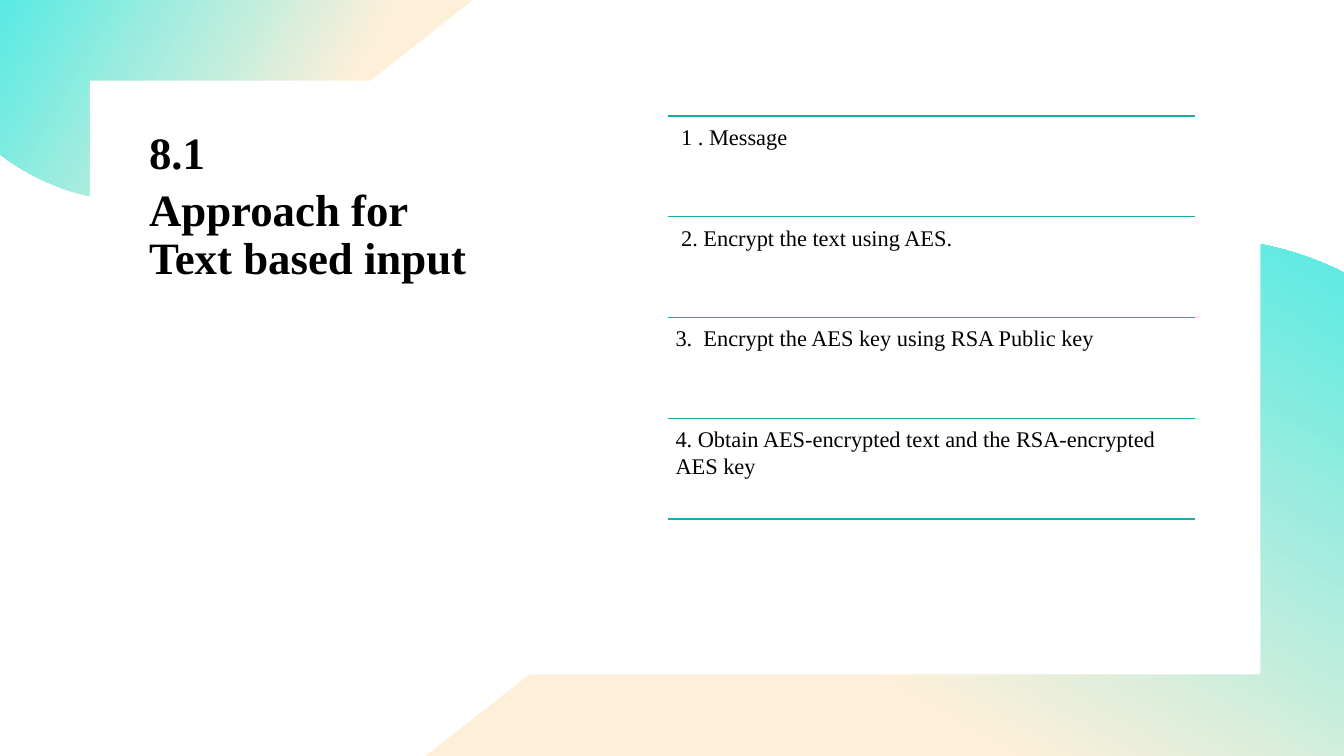
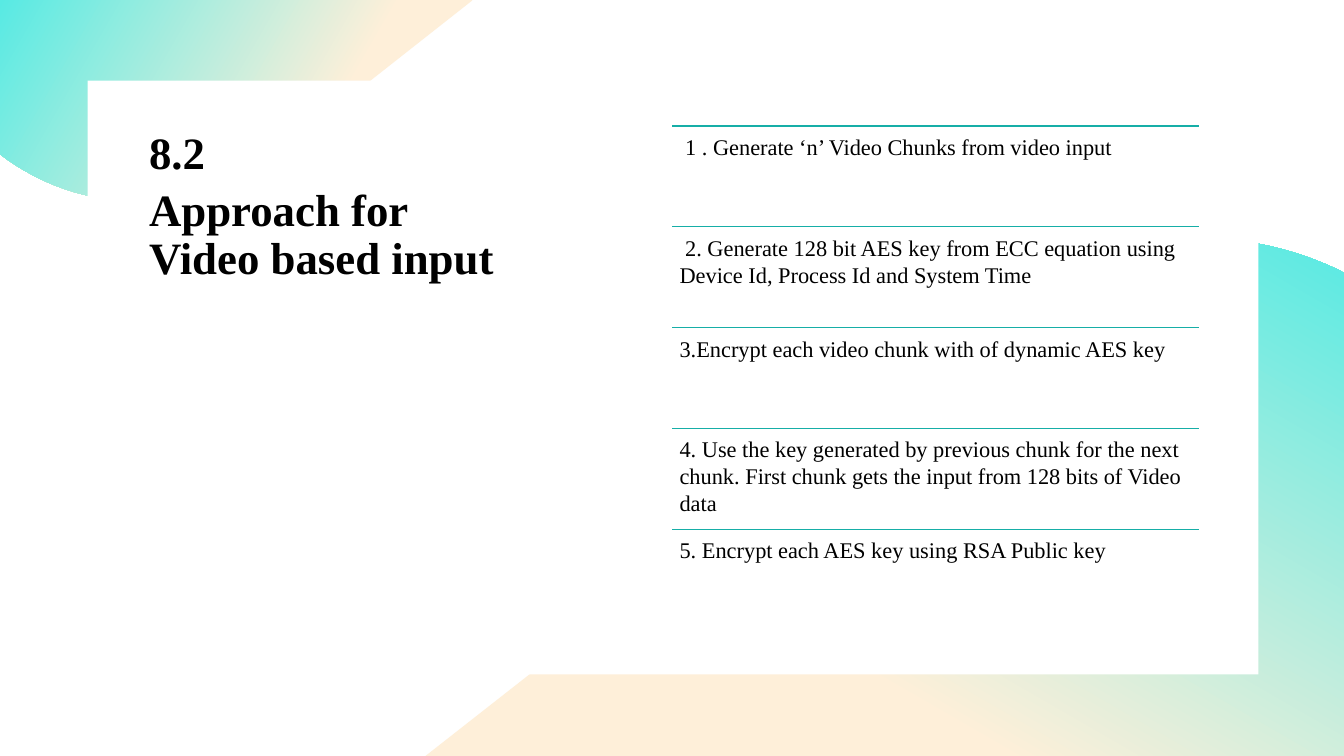
from dataclasses import dataclass

from lxml import etree
from pptx import Presentation
from pptx import util as u
from pptx.dml.color import RGBColor
from pptx.enum import shapes, text
from pptx.oxml.ns import qn


@dataclass(frozen=True)
class Theme:
    font: str = "Times New Roman"
    ink: RGBColor = RGBColor.from_string("000000")
    card: RGBColor = RGBColor.from_string("FFFFFF")
    sand: RGBColor = RGBColor.from_string("FEEFD9")
    aqua: RGBColor = RGBColor.from_string("58EAE3")
    rule: RGBColor = RGBColor.from_string("16AEA7")
    head: int = 32
    body: int = 16


T = Theme()
WIDE, HIGH = 13.33, 7.5

# Outlines: pairs are corners, sixes are curves (two controls and an end)
TOP = [
    (0, 0), (4.69, 0), (2.71, 1.56), (2.66, 1.59),
    (2.3, 1.85, 1.88, 1.98, 1.47, 2), (1.42, 2, 1.38, 2, 1.34, 2),
    (0.86, 1.99, 0.39, 1.83, 0, 1.53),
]
BASE = [
    (11.93, 2.36), (12.4, 2.37, 12.86, 2.48, 13.28, 2.68),
    (WIDE, 2.71), (WIDE, HIGH), (4.22, HIGH), (9.97, 2.99), (10.03, 2.94),
    (10.55, 2.58, 11.15, 2.39, 11.74, 2.36),
    (11.81, 2.36, 11.87, 2.36, 11.93, 2.36),
]


def trace(path, steps=16):
    """Turn corners and curves into a list of points."""
    pts = []
    for part in path:
        if len(part) == 2:
            pts.append(part)
            continue
        knots = [pts[-1], part[:2], part[2:4], part[4:]]
        for i in range(1, steps + 1):
            t = i / steps
            mix = ((1 - t) ** 3, 3 * t * (1 - t) ** 2, 3 * t * t * (1 - t), t ** 3)
            pts.append(tuple(sum(m * k[n] for m, k in zip(mix, knots)) for n in (0, 1)))
    return [(u.Inches(x), u.Inches(y)) for x, y in pts]


def add_wave(slide, path, angle):
    pts = trace(path)
    pen = slide.shapes.build_freeform(*pts[0], scale=1.0)
    pen.add_line_segments(pts[1:], close=True)
    wave = pen.convert_to_shape()
    wave.shadow.inherit = False
    wave.line.fill.background()
    wave.fill.gradient()
    wave.fill.gradient_angle = angle
    for stop, spot, tone in zip(wave.fill.gradient_stops, (0.32, 1), (T.sand, T.aqua)):
        stop.position = spot
        stop.color.rgb = tone


def add_card(slide, x, y, w, h):
    card = slide.shapes.add_shape(shapes.MSO_SHAPE.RECTANGLE, *map(u.Inches, (x, y, w, h)))
    card.shadow.inherit = False
    card.fill.solid()
    card.fill.fore_color.rgb = T.card
    card.line.fill.background()


def add_text(slide, box, lines, size, bold=False):
    frame = slide.shapes.add_textbox(*map(u.Inches, box)).text_frame
    frame.word_wrap = True
    frame.vertical_anchor = text.MSO_ANCHOR.TOP
    for i, line in enumerate(lines):
        para = frame.add_paragraph() if i else frame.paragraphs[0]
        para.text = line
        for run in para.runs:
            run.font.name = T.font
            run.font.size = u.Pt(size)
            run.font.bold = bold
            run.font.color.rgb = T.ink
    return frame


def add_title(slide, box, lines):
    frame = add_text(slide, box, lines, T.head, bold=True)
    for para in frame.paragraphs:
        para.line_spacing = 0.9
        para.space_after = u.Pt(6)


def add_rule(slide, x, y, w):
    rule = slide.shapes.add_connector(
        shapes.MSO_CONNECTOR.STRAIGHT, *map(u.Inches, (x, y, x + w, y)))
    rule.line.color.rgb = T.rule
    rule.line.width = u.Pt(1)
    etree.SubElement(rule._element.spPr, qn("a:effectLst"))


def add_steps(slide, x, y, w, steps, closed, row=1):
    """Stack ruled rows; a closed list has a rule below the last row."""
    for i, step in enumerate(steps):
        add_rule(slide, x, y + i * row, w)
        frame = add_text(slide, (x, y + i * row, w, row), [step], T.body)
        frame.margin_left = frame.margin_right = u.Inches(0.07)
        frame.margin_top = frame.margin_bottom = u.Inches(0.07)
    if closed:
        add_rule(slide, x, y + len(steps) * row, w)


def add_page(deck, title, steps, left, spot, closed):
    slide = deck.slides.add_slide(deck.slide_layouts[6])
    # Backdrop
    add_wave(slide, TOP, 150)
    add_wave(slide, BASE, 60)
    add_card(slide, left, 0.8, 11.61, 5.89)
    # Title and steps
    add_title(slide, (1.38, 1.25, 4.29, 3.66), title)
    add_steps(slide, *spot, 5.22, steps, closed)


def main():
    deck = Presentation()
    deck.slide_width, deck.slide_height = u.Inches(WIDE), u.Inches(HIGH)
    add_page(deck, ["8.1", "Approach for\nText based input"], [
        " 1 . Message",
        " 2. Encrypt the text using AES.",
        "3.  Encrypt the AES key using RSA Public key",
        "4. Obtain AES-encrypted text and the RSA-encrypted AES key",
    ], left=0.89, spot=(6.63, 1.15), closed=True)
    add_page(deck, ["8.2", "Approach for\nVideo based input"], [
        " 1 . Generate ‘n’ Video Chunks from video input",
        " 2. Generate 128 bit AES key from ECC equation using "
        "Device Id, Process Id and System Time",
        "3.Encrypt each video chunk with of dynamic AES key",
        "4. Use the key generated by previous chunk for the next chunk. "
        "First chunk gets the input from 128 bits of Video data",
        "5. Encrypt each AES key using RSA Public key",
    ], left=0.87, spot=(6.67, 1.25), closed=False)
    deck.save("out.pptx")


if __name__ == "__main__":
    main()
